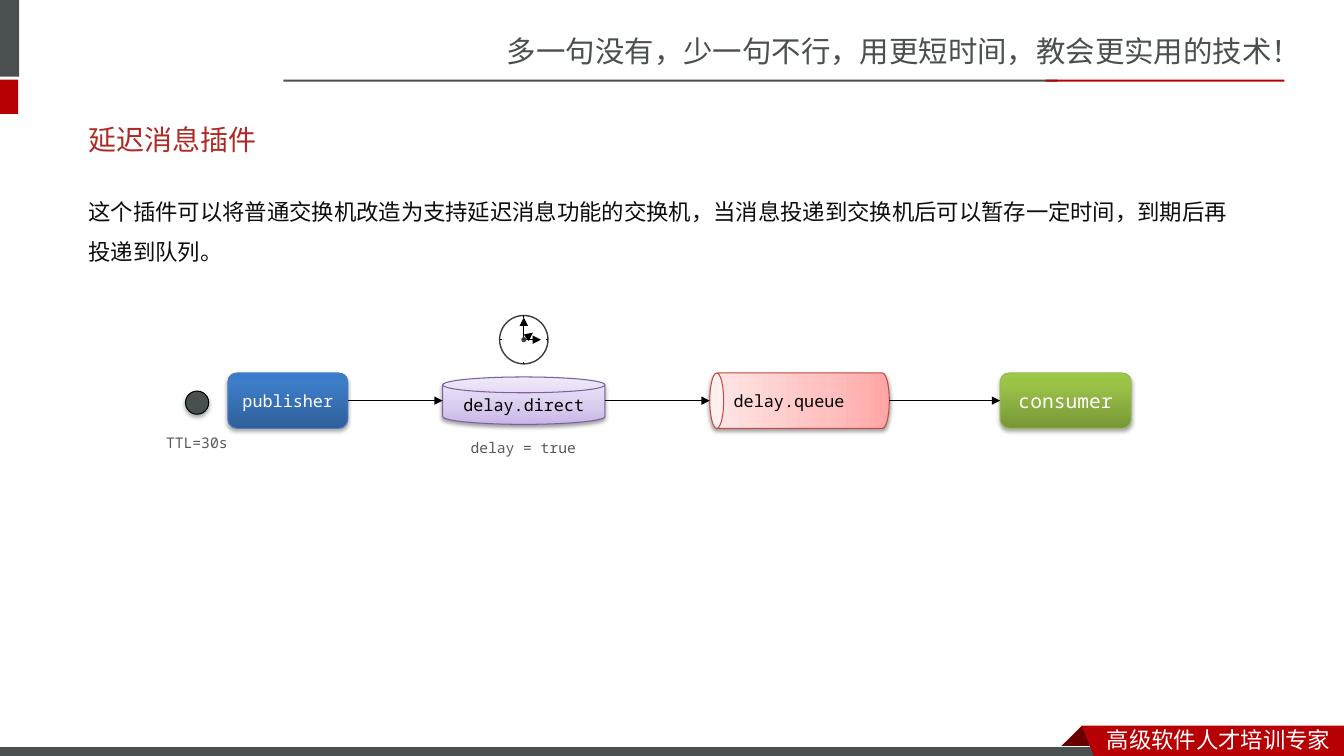
from math import cos, pi, sin

from lxml.etree import SubElement
from pptx import Presentation
from pptx.dml.color import RGBColor
from pptx.enum.shapes import MSO_CONNECTOR, MSO_SHAPE
from pptx.enum.text import MSO_ANCHOR, PP_ALIGN
from pptx.oxml import parse_xml
from pptx.oxml.ns import nsdecls, qn
from pptx.util import Inches, Pt

CJK, MONO = "Noto Sans CJK SC", "Noto Sans Mono"
GREY, RED, BLACK, WHITE = "49504F", "B60004", "000000", "FFFFFF"

# left, top, width, height, fill
HEADER_BARS = [
    (-0.06, 0, 0.25, 0.76, GREY),
    (-0.06, 0.79, 0.24, 0.34, RED),
    (2.81, 0.79, 7.68, 0.02, GREY),
    (10.37, 0.79, 2.37, 0.02, RED),
]
FOOTER_BAR = (-0.01, 7.41, 11, 0.12, GREY)
RIBBON_FOLD = [(10.73, 7.2), (10.95, 7.42), (10.94, 7.43), (10.52, 7.43), (10.51, 7.42)]
RIBBON = [(10.73, 7.2), (13.33, 7.2), (13.33, 7.54), (10.86, 7.53)]

# text, box, font, size, colour, paragraph format, frame format
TEXTS = [
    ("多一句没有，少一句不行，用更短时间，教会更实用的技术！",
     (4.93, 0.28, 8.41, 0.47), CJK, 21, GREY, {}, {}),
    ("高级软件人才培训专家", (10.88, 7.15, 2.45, 0.37), CJK, 16, WHITE, {}, {}),
    ("延迟消息插件", (0.78, 1.16, 11.7, 0.44), "Lato", 20, "AD2A26", {},
     {"vertical_anchor": MSO_ANCHOR.MIDDLE}),
    ("这个插件可以将普通交换机改造为支持延迟消息功能的交换机，当消息投递到交换机后可以暂存一定时间，到期后再投递到队列。",
     (0.78, 1.78, 11.7, 0.52), "Noto Sans CJK JP", 16, "0D0D0D", {"line_spacing": 1.5}, {}),
    ("TTL=30s", (1.55, 4.25, 0.82, 0.28), MONO, 10.5, "595959", {}, {"word_wrap": False}),
    ("delay = true", (4.44, 4.3, 1.5, 0.28), MONO, 10.5, "595959",
     {"alignment": PP_ALIGN.CENTER}, {}),
]

FLOW_Y = 3.975
BOX_SHADOW, DRUM_SHADOW = (35, 1.8), (38, 1.6)  # opacity in percent, distance in points
# text, preset, left, width, height, rotation, gradient, outline, shadow, size, text colour
NODES = [
    ("publisher", MSO_SHAPE.ROUNDED_RECTANGLE, 2.26, 1.19, 0.55, 0,
     {0: "2F5F99", 80: "3D7CC7", 100: "3A7CCB"}, "4B7EBC", BOX_SHADOW, 12, WHITE),
    ("delay.direct", MSO_SHAPE.FLOWCHART_MAGNETIC_DISK, 4.39, 1.61, 0.47, 0,
     {0: "C9B5E8", 35: "D8CBEE", 100: "F0EAF9"}, "7D60A0", DRUM_SHADOW, 12, BLACK),
    ("delay.queue", MSO_SHAPE.CAN, 7.04, 1.78, 0.55, 270,
     {0: "FFA6A5", 35: "FFC0BF", 100: "FFE7E7"}, "BF4C48", DRUM_SHADOW, 12, BLACK),
    ("consumer", MSO_SHAPE.ROUNDED_RECTANGLE, 9.92, 1.3, 0.55, 0,
     {0: "779737", 80: "9BC348", 100: "9DC746"}, "98B955", BOX_SHADOW, 14, WHITE),
]
MESSAGE_DOT = (1.84, 3.88, 0.23, 0.23)

CLOCK_X, CLOCK_Y, CLOCK_RADIUS, TICK, HUB_RADIUS = 5.195, 3.37, 0.24, 0.02, 0.025
HANDS = [(0.09, -0.07), (0.17, 0), (0, -0.22)]


def color(hex_string):
    return RGBColor.from_string(hex_string)


def paint(shape, fill=None, outline=None, width=0.75):
    shape.shadow.inherit = False
    if fill:
        shape.fill.solid()
        shape.fill.fore_color.rgb = color(fill)
    else:
        shape.fill.background()
    if outline:
        shape.line.color.rgb = color(outline)
        shape.line.width = Pt(width)
    else:
        shape.line.fill.background()
    return shape


def add_preset(shapes, preset, box, *style):
    return paint(shapes.add_shape(preset, *map(Inches, box)), *style)


def add_outline(shapes, points, fill):
    corners = [(Inches(x), Inches(y)) for x, y in points]
    builder = shapes.build_freeform(*corners[0], scale=1.0)
    builder.add_line_segments(corners[1:], close=True)
    paint(builder.convert_to_shape(), fill)


def add_gradient(shape, stops):
    """Fill with colours that run from the bottom edge to the top edge."""
    properties = shape._element.spPr
    shape.fill.gradient()
    stop_xml = "".join(
        f'<a:gs pos="{percent * 1000}"><a:srgbClr val="{value}"/></a:gs>'
        for percent, value in stops.items())
    properties.replace(properties.find(qn("a:gradFill")), parse_xml(
        f'<a:gradFill {nsdecls("a")} rotWithShape="1"><a:gsLst>{stop_xml}</a:gsLst>'
        '<a:lin ang="16200000" scaled="0"/></a:gradFill>'))


def add_shadow(shape, opacity, distance):
    effects = shape._element.spPr.find(qn("a:effectLst"))
    effects.append(parse_xml(
        f'<a:outerShdw {nsdecls("a")} blurRad="{Pt(3.1)}" dist="{Pt(distance)}" '
        f'dir="5400000" rotWithShape="0"><a:srgbClr val="{BLACK}">'
        f'<a:alpha val="{opacity * 1000}"/></a:srgbClr></a:outerShdw>'))


def add_line(shapes, start, end, arrow=False):
    line = shapes.add_connector(MSO_CONNECTOR.STRAIGHT, *map(Inches, (*start, *end)))
    line.line.color.rgb = color(BLACK)
    line.line.width = Pt(0.75)
    if arrow:
        SubElement(line.line._get_or_add_ln(), qn("a:tailEnd"), type="triangle")
    SubElement(line._element.spPr, qn("a:effectLst"))
    return line


def write(frame, text, font, size, text_color, paragraph_format, frame_format):
    for name, value in ({"word_wrap": True} | frame_format).items():
        setattr(frame, name, value)
    paragraph = frame.paragraphs[0]
    for name, value in paragraph_format.items():
        setattr(paragraph, name, value)
    run = paragraph.add_run()
    run.text = text
    for name, value in {"name": font, "size": Pt(size)}.items():
        setattr(run.font, name, value)
    run.font.color.rgb = color(text_color)
    SubElement(run.font._element, qn("a:ea"), typeface=font)


def add_node(shapes, text, preset, left, width, height, rotation, stops, outline, shadow,
             size, text_color):
    middle = left + width / 2
    if rotation:
        width, height = height, width
    box = (middle - width / 2, FLOW_Y - height / 2, width, height)
    node = add_preset(shapes, preset, box, None, outline)
    node.rotation = rotation
    add_gradient(node, stops)
    add_shadow(node, *shadow)
    write(node.text_frame, text, MONO, size, text_color, {"alignment": PP_ALIGN.CENTER},
          {"vertical_anchor": MSO_ANCHOR.MIDDLE})
    if rotation:
        node.text_frame._element.bodyPr.set("vert", "eaVert")
    return node


def add_clock(shapes):
    def disc(radius, *style):
        box = (CLOCK_X - radius, CLOCK_Y - radius, 2 * radius, 2 * radius)
        add_preset(shapes, MSO_SHAPE.OVAL, box, *style)

    disc(CLOCK_RADIUS, None, "3C3D3F", 1)
    for quarter in range(4):
        x, y = cos(quarter * pi / 2), sin(quarter * pi / 2)
        add_line(shapes, *[(CLOCK_X + x * reach, CLOCK_Y + y * reach)
                           for reach in (CLOCK_RADIUS, CLOCK_RADIUS - TICK)])
    for dx, dy in HANDS:
        add_line(shapes, (CLOCK_X, CLOCK_Y), (CLOCK_X + dx, CLOCK_Y + dy), arrow=True)
    disc(HUB_RADIUS, "3C3D3F")


def main():
    presentation = Presentation()
    presentation.slide_width, presentation.slide_height = Inches(13.33), Inches(7.5)
    shapes = presentation.slides.add_slide(presentation.slide_layouts[6]).shapes

    for *box, fill in HEADER_BARS:
        add_preset(shapes, MSO_SHAPE.RECTANGLE, box, fill)
    add_outline(shapes, RIBBON_FOLD, "680000")
    *box, fill = FOOTER_BAR
    add_preset(shapes, MSO_SHAPE.RECTANGLE, box, fill, WHITE)
    add_outline(shapes, RIBBON, RED)

    for text, box, *style in TEXTS:
        write(shapes.add_textbox(*map(Inches, box)).text_frame, text, *style)

    nodes = [add_node(shapes, *node) for node in NODES]
    for index in range(len(NODES) - 1):
        left, width = NODES[index][2:4]
        arrow = add_line(shapes, (left + width, FLOW_Y), (NODES[index + 1][2], FLOW_Y), True)
        if NODES[index][1] == MSO_SHAPE.ROUNDED_RECTANGLE:
            arrow.begin_connect(nodes[index], 3)
        if NODES[index + 1][1] == MSO_SHAPE.ROUNDED_RECTANGLE:
            arrow.end_connect(nodes[index + 1], 1)

    add_clock(shapes.add_group_shape().shapes)
    dot = add_preset(shapes, MSO_SHAPE.OVAL, MESSAGE_DOT, "48504F", BLACK)
    add_shadow(dot, *BOX_SHADOW)
    presentation.save("out.pptx")


if __name__ == "__main__":
    main()
